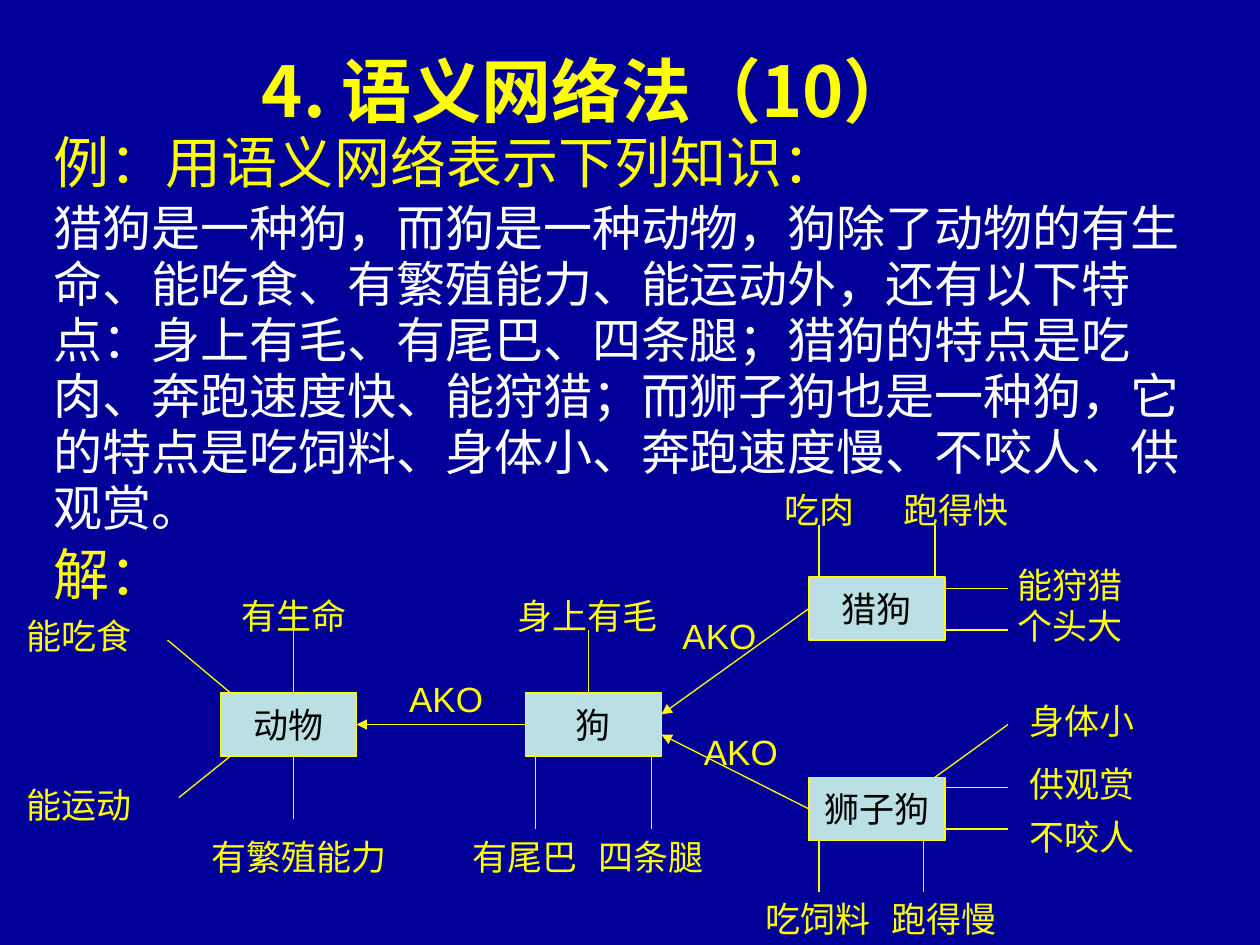
"""Build a slide showing a semantic network of dogs and other animals."""
from typing import NamedTuple

from lxml import etree
from pptx import Presentation
from pptx.dml.color import RGBColor
from pptx.enum.shapes import MSO_CONNECTOR, MSO_SHAPE
from pptx.enum.text import MSO_ANCHOR, MSO_AUTO_SIZE, PP_ALIGN
from pptx.oxml.ns import qn
from pptx.util import Inches, Pt

STRAIGHT = MSO_CONNECTOR.STRAIGHT
RECTANGLE = MSO_SHAPE.RECTANGLE
MIDDLE = MSO_ANCHOR.MIDDLE
FIT_SHAPE = MSO_AUTO_SIZE.SHAPE_TO_FIT_TEXT
CENTER = PP_ALIGN.CENTER
LEFT = PP_ALIGN.LEFT

NAVY, YELLOW, WHITE, BLACK, PALE_BLUE = "000099", "FFFF00", "FFFFFF", "000000", "BBE0E3"
CJK_FONT, LATIN_FONT = "Noto Sans CJK SC", "Arial"
NODE_WIDTH, NODE_HEIGHT, LABEL_HEIGHT = 1.08, 0.5, 0.44

Point = tuple[float, float]


class Line(NamedTuple):
    """A paragraph and its look."""
    text: str
    size: float
    color: str = YELLOW
    font: str = CJK_FONT
    bold: bool = False
    align: PP_ALIGN = LEFT
    space_before: float = 0
    spacing: float = 1


class Concept(NamedTuple):
    """A boxed node of the network."""
    text: str
    left: float
    top: float


class Feature(NamedTuple):
    """A property label with the line that ties it to its concept."""
    text: str
    left: float
    top: float
    start: Point
    end: Point
    width: float = 1.33


class Relation(NamedTuple):
    """A labelled arrow from one concept to its parent."""
    left: float
    top: float
    start: Point
    end: Point


TITLE = Line("4. 语义网络法（10）", 40, bold=True, align=CENTER)
BODY = [
    Line("例：用语义网络表示下列知识：", 32, spacing=0.95),
    Line("猎狗是一种狗，而狗是一种动物，狗除了动物的有生命、能吃食、有繁殖能力、能运动外，"
         "还有以下特点：身上有毛、有尾巴、四条腿；猎狗的特点是吃肉、奔跑速度快、能狩猎；"
         "而狮子狗也是一种狗，它的特点是吃饲料、身体小、奔跑速度慢、不咬人、供观赏。",
         28, WHITE, space_before=3.5, spacing=0.95),
    Line("解：", 32, space_before=4, spacing=0.95),
]
CONCEPTS = [
    Concept("动物", 1.75, 5.5),
    Concept("狗", 4.17, 5.5),
    Concept("猎狗", 6.42, 4.58),
    Concept("狮子狗", 6.42, 6.17),
]
RELATIONS = [
    Relation(3.08, 5.33, (4.17, 5.75), (2.83, 5.75)),
    Relation(5.25, 4.83, (6.42, 4.83), (5.25, 5.67)),
    Relation(5.42, 5.75, (6.42, 6.42), (5.25, 5.83)),
]
FEATURES = [
    Feature("能吃食", -0.25, 4.83, (1.83, 5.5), (1.33, 5.08), 1.75),
    Feature("能运动", -0.25, 6.17, (1.83, 6), (1.42, 6.33), 1.75),
    Feature("有生命", 1.67, 4.67, (2.33, 5.5), (2.33, 5)),
    Feature("有繁殖能力", 1.5, 6.58, (2.33, 6), (2.33, 6.5), 1.75),
    Feature("身上有毛", 4, 4.67, (4.67, 5.5), (4.67, 5)),
    Feature("有尾巴", 3.5, 6.58, (4.25, 6), (4.25, 6.58)),
    Feature("四条腿", 4.5, 6.58, (5.17, 6), (5.17, 6.58)),
    Feature("吃肉", 5.92, 3.83, (6.5, 4.58), (6.5, 4.17), 1.17),
    Feature("跑得快", 6.92, 3.83, (7.42, 4.58), (7.42, 4.17)),
    Feature("能狩猎", 7.83, 4.42, (7.5, 4.67), (8, 4.67)),
    Feature("个头大", 7.83, 4.75, (7.5, 5), (8, 5)),
    Feature("身体小", 7.92, 5.5, (7.42, 6.17), (8, 5.75)),
    Feature("供观赏", 7.92, 6, (7.5, 6.25), (8, 6.25)),
    Feature("不咬人", 7.92, 6.42, (7.5, 6.58), (8, 6.58)),
    Feature("吃饲料", 5.83, 7.07, (6.5, 6.67), (6.5, 7.08)),
    Feature("跑得慢", 6.83, 7.07, (7.33, 6.67), (7.33, 7.08)),
]


def paint(target, color: str) -> None:
    """Give a fill one solid colour."""
    target.solid()
    target.fore_color.rgb = RGBColor.from_string(color)


def write_line(paragraph, line: Line) -> None:
    """Write one paragraph with its font and spacing, keeping punctuation inside the margin."""
    paragraph.text = line.text
    paragraph.alignment = line.align
    paragraph.line_spacing = line.spacing
    paragraph.space_before = Pt(line.space_before)
    font = paragraph.font
    font.size, font.bold, font.name = Pt(line.size), line.bold, line.font
    paint(font.fill, line.color)
    properties = paragraph._p.pPr
    properties.set("hangingPunct", "0")
    etree.SubElement(properties.find(qn("a:defRPr")), qn("a:ea"), typeface=CJK_FONT)


def add_text(slide, left: float, top: float, width: float, height: float,
             lines: list[Line]) -> None:
    """Add a wrapping text box that holds the lines."""
    box = slide.shapes.add_textbox(Inches(left), Inches(top), Inches(width), Inches(height))
    frame = box.text_frame
    frame.word_wrap = True
    frame.auto_size = FIT_SHAPE
    for index, line in enumerate(lines):
        write_line(frame.add_paragraph() if index else frame.paragraphs[0], line)


def add_label(slide, text: str, left: float, top: float, width: float) -> None:
    """Add a small centred label."""
    add_text(slide, left, top, width, LABEL_HEIGHT,
             [Line(text, 20, font=LATIN_FONT, align=CENTER)])


def add_concept(slide, concept: Concept) -> None:
    """Add the box of a concept."""
    node = slide.shapes.add_shape(RECTANGLE, Inches(concept.left), Inches(concept.top),
                                  Inches(NODE_WIDTH), Inches(NODE_HEIGHT))
    node.shadow.inherit = False
    paint(node.fill, PALE_BLUE)
    paint(node.line.fill, YELLOW)
    node.line.width = Pt(0.75)
    frame = node.text_frame
    frame.word_wrap = False
    frame.vertical_anchor = MIDDLE
    write_line(frame.paragraphs[0], Line(concept.text, 20, BLACK, LATIN_FONT, align=CENTER))


def add_link(slide, start: Point, end: Point, arrow: bool = False) -> None:
    """Add a thin line, with an arrowhead at its end if wanted."""
    link = slide.shapes.add_connector(STRAIGHT, *map(Inches, start + end))
    paint(link.line.fill, YELLOW)
    link.line.width = Pt(0.75)
    properties = link._element.spPr
    if arrow:
        etree.SubElement(properties.find(qn("a:ln")), qn("a:tailEnd"), type="triangle")
    etree.SubElement(properties, qn("a:effectLst"))


def main() -> None:
    """Build and save the slide."""
    deck = Presentation()
    deck.slide_width, deck.slide_height = Inches(10), Inches(7.5)
    slide = deck.slides.add_slide(deck.slide_layouts[6])
    paint(slide.background.fill, NAVY)
    add_text(slide, 0.33, 1, 9.17, 3.44, BODY)
    add_text(slide, 0.58, 0.33, 8.17, 0.77, [TITLE])
    for concept in CONCEPTS:
        add_concept(slide, concept)
    for relation in RELATIONS:
        add_link(slide, relation.start, relation.end, arrow=True)
        add_label(slide, "AKO", relation.left, relation.top, 0.92)
    for feature in FEATURES:
        add_link(slide, feature.start, feature.end)
        add_label(slide, feature.text, feature.left, feature.top, feature.width)
    deck.save("out.pptx")


if __name__ == "__main__":
    main()
